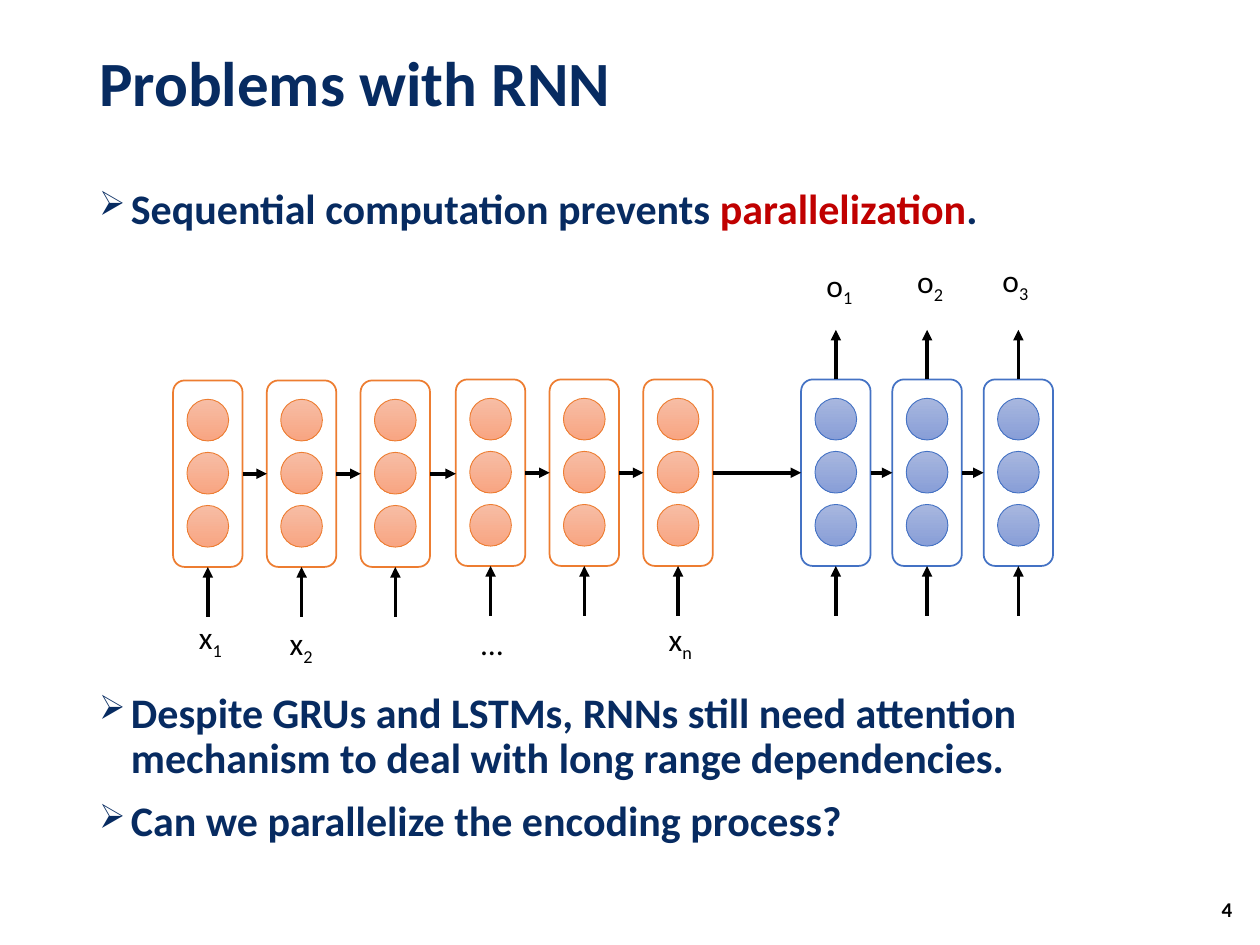
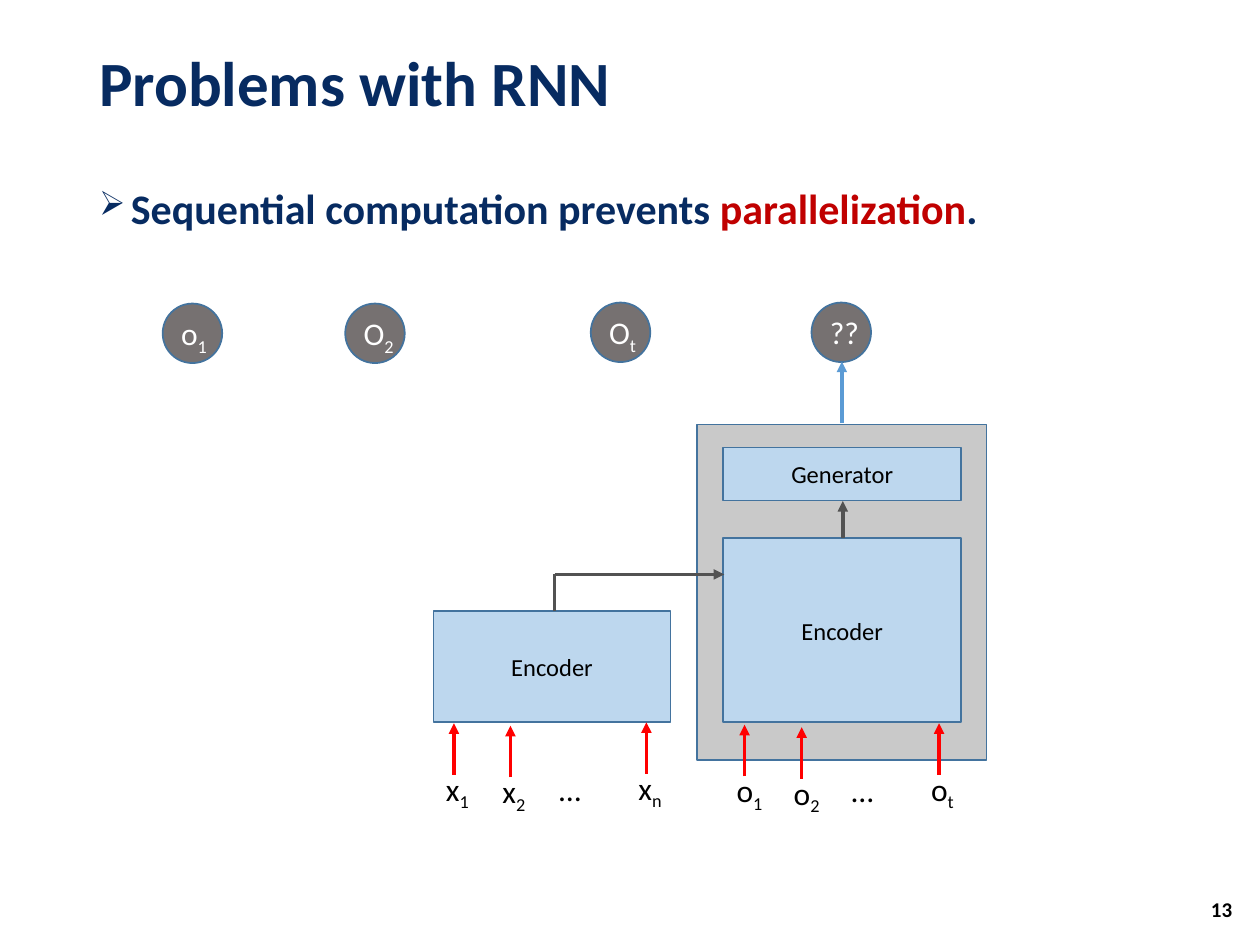
from itertools import pairwise

from pptx import Presentation
from pptx.dml.color import RGBColor
from pptx.enum.shapes import MSO_CONNECTOR, MSO_SHAPE
from pptx.enum.text import MSO_ANCHOR, PP_ALIGN
from pptx.oxml.ns import qn
from pptx.util import Cm, Pt
from lxml import etree

RECT, ROUND, OVAL = MSO_SHAPE.RECTANGLE, MSO_SHAPE.ROUNDED_RECTANGLE, MSO_SHAPE.OVAL
LINE = MSO_CONNECTOR.STRAIGHT
TOP, MID = MSO_ANCHOR.TOP, MSO_ANCHOR.MIDDLE
LEFT, RIGHT, CENTER = PP_ALIGN.LEFT, PP_ALIGN.RIGHT, PP_ALIGN.CENTER

HUES = {
    "navy": "072B61", "crimson": "C00000", "black": "000000", "white": "FFFFFF",
    "orange": "ED7D31", "blue": "4472C4", "edge": "43739E", "panel": "C9C9C9",
    "block": "BDD7EE", "node": "767171", "dark": "525252", "sky": "5B9BD5",
    "red": "FF0000", "peach": "F7BDA5", "coral": "F8A582",
    "mist": "A8B7DF", "iris": "889ED7",
}
FADES = {"orange": ("peach", "coral"), "blue": ("mist", "iris")}
FONTS = {
    "title": {"size": Pt(36), "bold": True},
    "body": {"size": Pt(24), "bold": True},
    "page": {"size": Pt(12), "bold": True},
    "block": {"size": Pt(14), "bold": False},
    "label": {"size": Pt(18), "bold": False},
}
CELL_W, CELL_H, DOT = 1.4, 3.76, 0.84


def hue(name):
    return RGBColor.from_string(HUES[name])


def add_run(para, text, style, color):
    run = para.add_run()
    run.text = text
    for key, value in {"name": "Calibri", **FONTS[style]}.items():
        setattr(run.font, key, value)
    run.font.color.rgb = hue(color)
    return run


def add_box(slide, x, y, w, h, anchor=TOP, align=LEFT):
    frame = slide.shapes.add_textbox(Cm(x), Cm(y), Cm(w), Cm(h)).text_frame
    frame.word_wrap = True
    frame.vertical_anchor = anchor
    frame.paragraphs[0].alignment = align
    return frame


def add_shape(slide, kind, x, y, w, h, fill, edge, width=1):
    """A pair of colour names as fill makes a gradient from top to bottom."""
    shape = slide.shapes.add_shape(kind, Cm(x), Cm(y), Cm(w), Cm(h))
    shape.shadow.inherit = False
    if isinstance(fill, tuple):
        shape.fill.gradient()
        shape.fill.gradient_angle = 270
        for stop, name in zip(shape.fill.gradient_stops, fill):
            stop.color.rgb = hue(name)
    else:
        shape.fill.solid()
        shape.fill.fore_color.rgb = hue(fill)
    shape.line.color.rgb = hue(edge)
    shape.line.width = Pt(width)
    return shape


def add_line(slide, x1, y1, x2, y2, color="black", head=True):
    link = slide.shapes.add_connector(LINE, Cm(x1), Cm(y1), Cm(x2), Cm(y2))
    link.line.color.rgb = hue(color)
    link.line.width = Pt(2)
    props = link._element.spPr
    if head:
        etree.SubElement(props.find(qn("a:ln")), qn("a:tailEnd"), type="triangle")
    etree.SubElement(props, qn("a:effectLst"))


def add_label(slide, x, y, text, sub="", color="black"):
    para = add_box(slide, x, y, 1.3, 1.02).paragraphs[0]
    add_run(para, text, "label", color)
    if sub:
        run = add_run(para, sub, "label", color)
        run._r.get_or_add_rPr().set("baseline", "-25000")


def add_points(slide, y, h, points):
    """Each point is a list of (text, colour) parts."""
    frame = add_box(slide, 1.75, y, 21.89, h)
    for i, parts in enumerate(points):
        para = frame.add_paragraph() if i else frame.paragraphs[0]
        para.line_spacing = 0.9
        para.space_before = Pt(10)
        props = para._p.get_or_add_pPr()
        props.set("marL", str(Cm(0.64)))
        props.set("indent", str(-Cm(0.64)))
        etree.SubElement(props, qn("a:buSzPct"), val="80000")
        etree.SubElement(props, qn("a:buChar"), char="➢")
        for text, color in parts:
            add_run(para, text, "body", color)


def add_page(deck, number):
    slide = deck.slides.add_slide(deck.slide_layouts[6])
    title = add_box(slide, 1.75, 0.46, 21.89, 2.57, MID).paragraphs[0]
    title.line_spacing = 0.9
    add_run(title, "Problems with RNN", "title", "navy")
    add_points(slide, 3.66, 1.4, [[
        ("Sequential computation prevents ", "navy"),
        ("parallelization", "crimson"), (".", "navy")]])
    page = add_box(slide, 23.77, 17.81, 1.32, 1.02, MID, RIGHT).paragraphs[0]
    add_run(page, number, "page", "black")
    return slide


def add_cell(slide, x, y, color):
    """One recurrent state: a frame, three dots and its arrows up."""
    add_shape(slide, ROUND, x, y, CELL_W, CELL_H, "white", color)
    for i in range(3):
        add_shape(slide, OVAL, x + (CELL_W - DOT) / 2, y + 0.38 + 1.07 * i,
                  DOT, DOT, FADES[color], color, 0.5)
    mid, foot = x + CELL_W / 2, y + CELL_H
    add_line(slide, mid, foot + 1, mid, foot)
    if color == "blue":
        add_line(slide, mid, y, mid, y - 1)


def add_block(slide, x, y, w, h, text):
    shape = add_shape(slide, RECT, x, y, w, h, "block", "edge")
    frame = shape.text_frame
    frame.vertical_anchor = MID
    frame.paragraphs[0].alignment = CENTER
    add_run(frame.paragraphs[0], text, "block", "black")


def add_node(slide, x, y, text, sub=""):
    add_shape(slide, OVAL, x, y, 1.2, 1.2, "node", "edge")
    add_label(slide, x + 0.12, y + 0.09, text, sub, "white")


def add_input(slide, x, y, text, sub):
    add_label(slide, x, y, text, sub)
    add_line(slide, x + 0.41, y + 0.23, x + 0.41, y - 0.81, "red")


def draw_chain(deck):
    slide = add_page(deck, "4")
    groups = [(3.49, 7.67, 1.89, "orange"), (9.19, 7.65, 1.89, "orange"),
              (16.15, 7.65, 1.84, "blue")]
    cells = [(x + step * i, y, color)
             for x, y, step, color in groups for i in range(3)]
    for cell in cells:
        add_cell(slide, *cell)
    for (x, y, _), (after, _, _) in pairwise(cells):
        mid = y + CELL_H / 2
        add_line(slide, x + CELL_W, mid, after, mid)
    for label in [(3.76, 12.34, "x", "1"), (5.59, 12.45, "x", "2"),
                  (9.45, 12.45, "…"), (13.23, 12.37, "x", "n"),
                  (16.41, 5.23, "o", "1"), (18.24, 5.16, "o", "2"),
                  (19.96, 5.13, "o", "3")]:
        add_label(slide, *label)
    add_points(slide, 13.82, 3.66, [
        [("Despite GRUs and LSTMs, RNNs still need attention mechanism "
          "to deal with long range dependencies.", "navy")],
        [("Can we parallelize the encoding process?", "navy")]])


def draw_coder(deck):
    slide = add_page(deck, "13")
    add_shape(slide, RECT, 14.05, 8.56, 5.84, 6.76, "panel", "edge")
    for node in [(3.28, 6.12, "o", "1"), (6.96, 6.12, "O", "2"),
                 (11.91, 6.1, "O", "t"), (16.36, 6.1, "??")]:
        add_node(slide, *node)
    for block in [(8.74, 12.32, 4.78, 2.24, "Encoder"),
                  (14.58, 10.85, 4.8, 3.71, "Encoder"),
                  (14.58, 9.02, 4.8, 1.07, "Generator")]:
        add_block(slide, *block)
    add_line(slide, 16.97, 8.53, 16.97, 7.29, "sky")
    add_line(slide, 16.99, 10.85, 16.99, 10.1, "dark")
    add_line(slide, 11.18, 12.32, 11.18, 11.58, "dark", head=False)
    add_line(slide, 11.18, 11.58, 14.6, 11.58, "dark")
    for item in [(8.74, 15.39, "x", "1"), (9.88, 15.44, "x", "2"),
                 (12.62, 15.37, "x", "n"), (14.6, 15.42, "o", "1"),
                 (15.75, 15.47, "o", "2"), (18.52, 15.39, "o", "t")]:
        add_input(slide, *item)
    add_label(slide, 11.02, 15.39, "…")
    add_label(slide, 16.92, 15.42, "…")


def main():
    deck = Presentation()
    deck.slide_width, deck.slide_height = Cm(25.4), Cm(19.05)
    draw_chain(deck)
    draw_coder(deck)
    deck.save("out.pptx")


if __name__ == "__main__":
    main()
